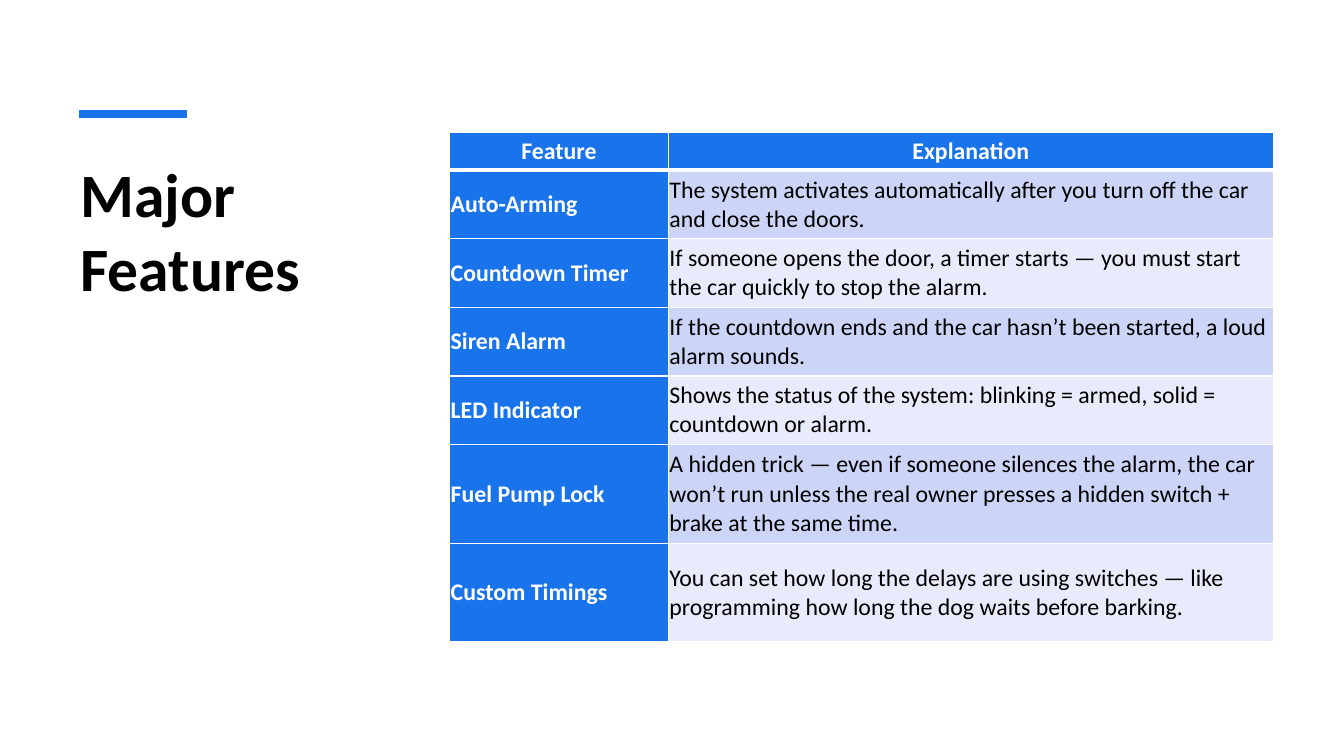
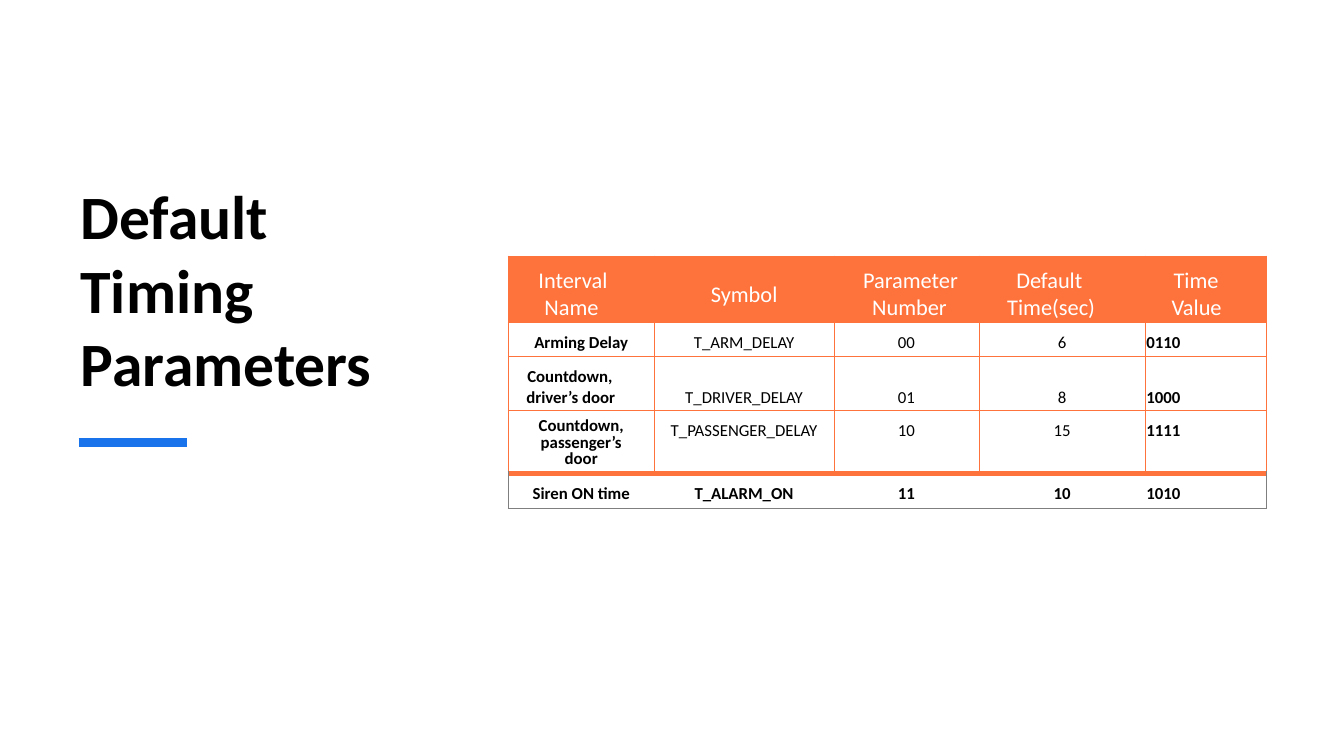
"""Build two slides, each with a bold title, a short bar and a table."""
from dataclasses import dataclass

from lxml.etree import SubElement
from pptx import Presentation
from pptx.dml.color import RGBColor
from pptx.enum.shapes import MSO_CONNECTOR
from pptx.enum.text import MSO_ANCHOR, PP_ALIGN
from pptx.oxml.ns import qn
from pptx.util import Pt

PX = 9144


@dataclass(frozen=True)
class Theme:
    face: str = "Calibri"
    blue: str = "1973EB"
    flame: str = "FE733C"
    gray: str = "7F7F7F"
    white: str = "FFFFFF"
    black: str = "000000"
    bands: tuple = ("CCD5F7", "E8EBFB")
    title: int = 44
    body: int = 17
    head: int = 16
    small: int = 12
    bar: int = 6


look = Theme()


def write(frame, text, size, tint, bold, box, para):
    """Put one styled paragraph into a text frame or cell."""
    for key, val in box.items():
        setattr(frame, key, val)
    line = getattr(frame, "text_frame", frame).paragraphs[0]
    for key, val in para.items():
        setattr(line, key, val)
    run = line.add_run()
    run.text = text
    for key, val in {"name": look.face, "size": Pt(size), "bold": bold}.items():
        setattr(run.font, key, val)
    run.font.color.rgb = RGBColor.from_string(tint)
    return line


def paint(cell, fill, sides):
    """Draw the cell edges, given as (colour, points) by side, then its fill."""
    prop = cell._tc.get_or_add_tcPr()
    for side in "LRTB":
        tint, width = sides.get(side, (None, 0))
        edge = SubElement(prop, qn(f"a:ln{side}"), w=str(Pt(width)))
        if tint:
            solid = SubElement(edge, qn("a:solidFill"))
            SubElement(solid, qn("a:srgbClr"), val=tint)
        else:
            SubElement(edge, qn("a:noFill"))
    cell.fill.solid()
    cell.fill.fore_color.rgb = RGBColor.from_string(fill)


deck = Presentation()
deck.slide_width, deck.slide_height = 1333 * PX, 750 * PX

pages = [
    ("Major Features", (70, 150, 355, 295), MSO_ANCHOR.TOP, 113,
     (446, 131), (217, 600), (38, 68, 68, 68, 68, 98, 98)),
    ("Default Timing Parameters", (70, 112, 345, 289), MSO_ANCHOR.BOTTOM, 439,
     (504, 254), (145, 178, 144, 165, 120), (66, 34, 53, 63, 34)),
]
grids = []
for title, area, hold, bar, spot, cols, rows in pages:
    page = deck.slides.add_slide(deck.slide_layouts[6])
    frame = page.shapes.add_textbox(*(n * PX for n in area)).text_frame
    write(frame, title, look.title, look.black, True,
          {"word_wrap": True, "vertical_anchor": hold}, {})
    rule = page.shapes.add_connector(
        MSO_CONNECTOR.STRAIGHT, 78 * PX, bar * PX, 185 * PX, bar * PX)
    rule.line.color.rgb = RGBColor.from_string(look.blue)
    rule.line.width = Pt(look.bar)
    SubElement(rule._element.spPr, qn("a:effectLst"))
    grid = page.shapes.add_table(
        len(rows), len(cols), *(n * PX for n in (*spot, sum(cols), sum(rows)))).table
    grid.first_row = grid.horz_banding = False
    for col, wide in zip(grid.columns, cols):
        col.width = wide * PX
    for row, high in zip(grid.rows, rows):
        row.height = high * PX
    grids.append(grid)

traits = [
    ("Feature", "Explanation"),
    ("Auto-Arming", "The system activates automatically after you turn off the car and close the doors."),
    ("Countdown Timer", "If someone opens the door, a timer starts — you must start the car quickly to stop the alarm."),
    ("Siren Alarm", "If the countdown ends and the car hasn’t been started, a loud alarm sounds."),
    ("LED Indicator", "Shows the status of the system: blinking = armed, solid = countdown or alarm."),
    ("Fuel Pump Lock", "A hidden trick — even if someone silences the alarm, the car won’t run unless the real owner presses a hidden switch + brake at the same time."),
    ("Custom Timings", "You can set how long the delays are using switches — like programming how long the dog waits before barking."),
]
inset = {f"margin_{side}": PX for side in ("left", "top", "right", "bottom")}
inset["vertical_anchor"] = MSO_ANCHOR.MIDDLE
for r, row in enumerate(traits):
    for c, text in enumerate(row):
        cell = grids[0].cell(r, c)
        key = r == 0 or c == 0
        sides = dict.fromkeys("LRTB", (look.white, 1))
        if r < 2:
            sides["TB"[r == 0]] = (look.white, 3)
        paint(cell, look.blue if key else look.bands[(r - 1) % 2], sides)
        write(cell, text, look.body, look.white if key else look.black, key, inset,
              {"alignment": PP_ALIGN.LEFT if r else PP_ALIGN.CENTER})

times = [
    ("Interval Name", "Symbol", "Parameter Number", "Default Time(sec)", "Time Value"),
    ("Arming Delay", "T_ARM_DELAY", "00", "6", "0110"),
    ("Countdown, driver’s door", "T_DRIVER_DELAY", "01", "8", "1000"),
    ("Countdown, passenger’s door", "T_PASSENGER_DELAY", "10", "15", "1111"),
    ("Siren ON time", "T_ALARM_ON", "11", "10", "1010"),
]
dents = {(0, 0): (36, -6), (0, 2): (38, -9), (0, 3): (28, 9), (0, 4): (26, 2),
         (2, 0): (18, 1), **{(r, 4): (1, 0) for r in range(1, 5)}}
thin, thick, pale = (look.flame, 0.5), (look.flame, 4), (look.gray, 0.5)
last, end = len(times) - 1, len(times[0]) - 1
for r, row in enumerate(times):
    for c, text in enumerate(row):
        cell = grids[1].cell(r, c)
        sides = dict.fromkeys("LRTB", thin)
        if r == last - 1:
            sides["B"] = thick
        if r == last:
            sides = {"T": thick, "B": pale}
            if c in (0, end):
                sides["L" if c == 0 else "R"] = pale
        paint(cell, look.white if r else look.flame, sides)
        tall = (r, c) == (3, 0)
        pad = 19 * PX if tall else 0
        box = {"margin_left": pad, "margin_right": pad, "margin_bottom": 0,
               "margin_top": (30 if r == 2 and c else 10) * PX,
               "vertical_anchor": MSO_ANCHOR.TOP if r else MSO_ANCHOR.MIDDLE}
        dent = dents.get((r, c))
        para = {"alignment": PP_ALIGN.LEFT if dent else PP_ALIGN.CENTER}
        if tall:
            para["line_spacing"] = Pt(11.5)
        line = write(cell, text, look.small if r else look.head,
                     look.black if r else look.white,
                     r > 0 and (c in (0, end) or r == last), box, para)
        if dent:
            for key, val in zip(("marL", "indent"), dent):
                line._p.get_or_add_pPr().set(key, str(val * PX))

deck.save("out.pptx")
